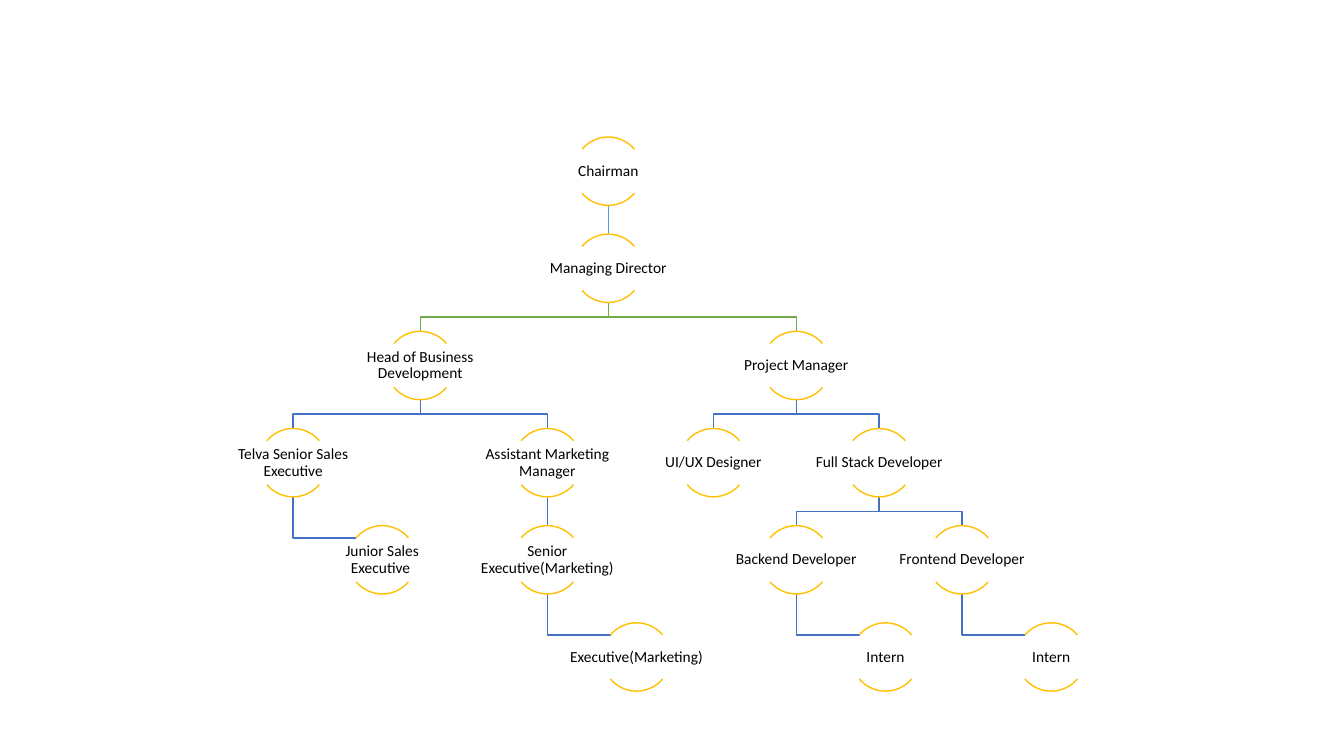
from dataclasses import dataclass
from typing import Iterator

from lxml import etree
from pptx import Presentation
from pptx.dml.color import RGBColor
from pptx.enum import shapes, text
from pptx.oxml.ns import qn
from pptx.util import Pt

BLUE = RGBColor(0x44, 0x72, 0xC4)
SKY = RGBColor(0x5B, 0x9B, 0xD5)
GREEN = RGBColor(0x70, 0xAD, 0x47)
GOLD = RGBColor(0xFF, 0xC0, 0x00)
BLACK = RGBColor(0, 0, 0)

TOP, PITCH, RING = 97.9, 69.4, 48.8
WIDTH, HEIGHT = 97.6, 31.2
SIDE, DROP, REACH = 63.7, 29.4, 45.2
MID, PAIR = 434.5, 59.2
LEFT, RIGHT, SPAN = 300.2, 568.8, 90.8
ARCS = ((132, 192), (24, 84))


@dataclass(frozen=True)
class Role:
    name: str
    x: float
    kids: tuple["Role", ...] = ()
    tint: RGBColor = BLUE
    hung: bool = False


def hang(name: str, x: float) -> Role:
    return Role(name, x + SIDE, hung=True)


SALES = Role("Head of Business Development", LEFT, (
    Role("Telva Senior Sales Executive", LEFT - SPAN, (
        hang("Junior Sales Executive ", LEFT - SPAN),)),
    Role("Assistant Marketing Manager", LEFT + SPAN, (
        Role("Senior Executive(Marketing)", LEFT + SPAN, (
            hang("Executive(Marketing)", LEFT + SPAN),)),)),
), GREEN)
TECH = Role("Project Manager", RIGHT, (
    Role("UI/UX Designer", RIGHT - PAIR),
    Role("Full Stack Developer", RIGHT + PAIR, (
        Role("Backend Developer", RIGHT, (hang("Intern", RIGHT),)),
        Role("Frontend Developer", RIGHT + 2 * PAIR, (
            hang("Intern", RIGHT + 2 * PAIR),)),
    )),
), GREEN)
CHAIR = Role("Chairman", MID, (
    Role("Managing Director", MID, (SALES, TECH), SKY),))


def walk(role: Role, row: int = 0) -> Iterator[tuple[Role, int]]:
    yield role, row
    for kid in role.kids:
        yield from walk(kid, row + 1)


def join(tree, boss: Role, kid: Role, row: int) -> None:
    start = TOP + row * PITCH + RING
    end = TOP + (row + 1) * PITCH
    if boss.x == kid.x:
        line = tree.add_connector(
            shapes.MSO_CONNECTOR.STRAIGHT, Pt(boss.x), Pt(start), Pt(kid.x), Pt(end))
        etree.SubElement(line._element.spPr, qn("a:effectLst"))
    else:
        if kid.hung:
            turns = [(boss.x, start + DROP), (boss.x + REACH, start + DROP)]
        else:
            half = (start + end) / 2
            turns = [(boss.x, half), (kid.x, half), (kid.x, end)]
        pen = tree.build_freeform(Pt(boss.x), Pt(start))
        pen.add_line_segments([(Pt(x), Pt(y)) for x, y in turns], close=False)
        line = pen.convert_to_shape()
        line.fill.background()
        line.shadow.inherit = False
    line.line.color.rgb = kid.tint
    line.line.width = Pt(1)


def draw(tree, role: Role, row: int) -> None:
    top = TOP + row * PITCH
    for ends in ARCS:
        arc = tree.add_shape(
            shapes.MSO_SHAPE.ARC, Pt(role.x - RING / 2), Pt(top), Pt(RING), Pt(RING))
        arc.adjustments[0], arc.adjustments[1] = ends
        arc.fill.background()
        arc.line.color.rgb = GOLD
        arc.line.width = Pt(1)
        arc.shadow.inherit = False
    box = tree.add_textbox(
        Pt(role.x - WIDTH / 2), Pt(top + (RING - HEIGHT) / 2), Pt(WIDTH), Pt(HEIGHT))
    frame = box.text_frame
    frame.word_wrap = True
    frame.vertical_anchor = text.MSO_ANCHOR.MIDDLE
    frame.margin_left = frame.margin_right = Pt(0.55)
    frame.margin_top = frame.margin_bottom = Pt(0.55)
    para = frame.paragraphs[0]
    para.alignment = text.PP_ALIGN.CENTER
    para.line_spacing = 0.9
    run = para.add_run()
    run.text = role.name
    run.font.name = "Calibri"
    run.font.size = Pt(11)
    run.font.color.rgb = BLACK


deck = Presentation()
deck.slide_width, deck.slide_height = Pt(960), Pt(540)
slide = deck.slides.add_slide(deck.slide_layouts[6])
chart = slide.shapes.add_group_shape().shapes
for role, row in walk(CHAIR):
    for kid in role.kids:
        join(chart, role, kid, row)
for role, row in walk(CHAIR):
    draw(chart, role, row)
deck.save("out.pptx")
